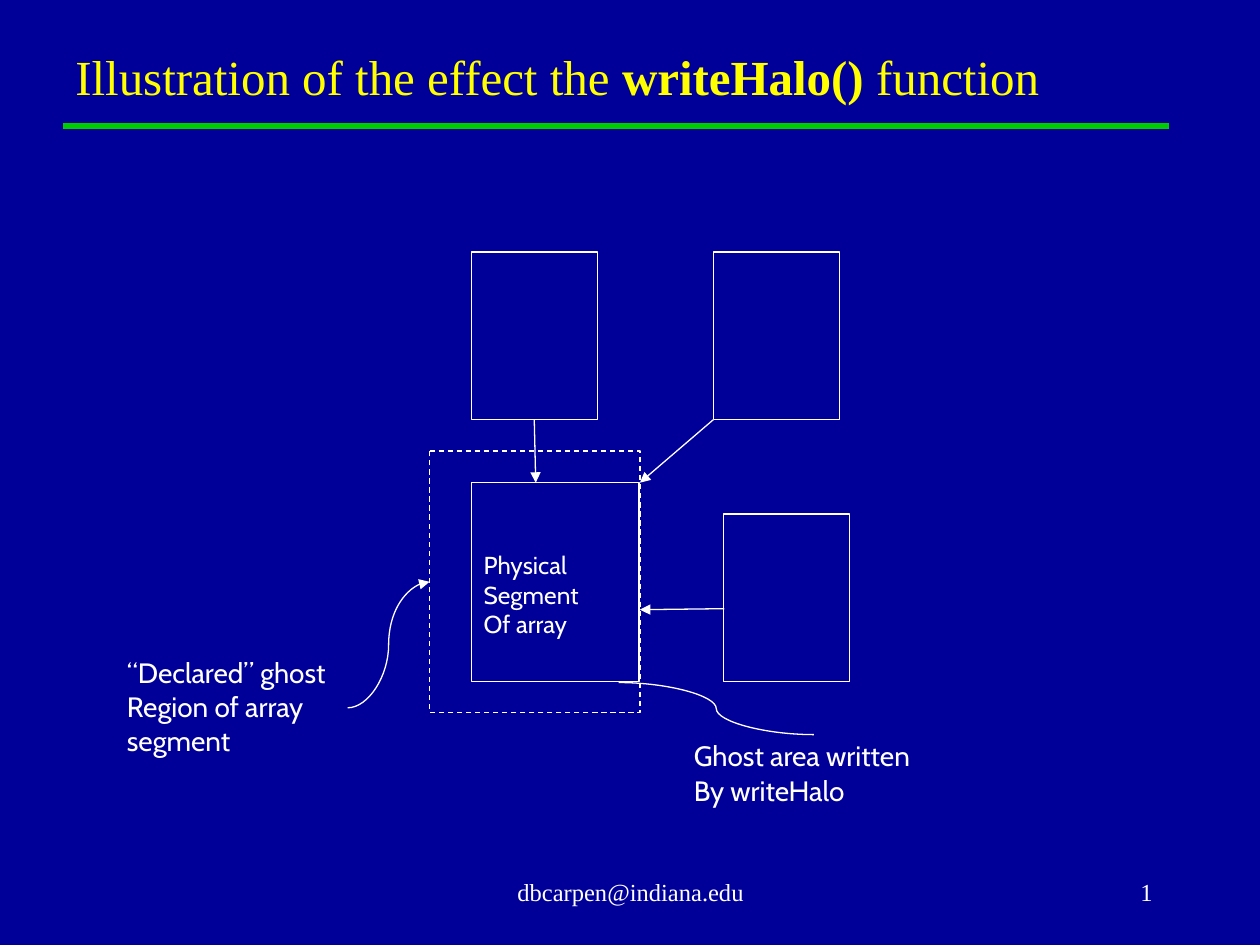
from lxml import etree
from pptx import Presentation, util as u
from pptx.dml import color
from pptx.enum import dml, shapes, text
from pptx.oxml import ns

WHITE, YELLOW, GREEN, NAVY = "FFFFFF", "FFFF00", "00CC00", "000099"
SERIF, SANS = "Times New Roman", "Cabin"


def rgb(value):
    return color.RGBColor.from_string(value)


def write(paragraph, content, size=14, font=SERIF, fill=WHITE, bold=False):
    run = paragraph.add_run()
    run.text = content
    run.font.size = u.Pt(size)
    run.font.name = font
    run.font.bold = bold
    run.font.color.rgb = rgb(fill)


class Canvas:
    """Current slide plus the shared outline style."""

    def __init__(self, slide, line_color=WHITE, line_width=0.75):
        self.slide = slide
        self.line_color = line_color
        self.line_width = line_width

    def background(self, fill):
        self.slide.background.fill.solid()
        self.slide.background.fill.fore_color.rgb = rgb(fill)

    def box(self, left, top, width, height, dashed=False):
        shape = self.slide.shapes.add_shape(
            shapes.MSO_SHAPE.ROUNDED_RECTANGLE,
            u.Cm(left), u.Cm(top), u.Cm(width), u.Cm(height))
        shape.adjustments[0] = 0
        shape.shadow.inherit = False
        shape.fill.background()
        shape.line.color.rgb = rgb(self.line_color)
        shape.line.width = u.Pt(self.line_width)
        if dashed:
            shape.line.dash_style = dml.MSO_LINE.DASH
        return shape

    def connector(self, start, end, curved=False, arrow=True,
                  line_color=None, width=None):
        kind = shapes.MSO_CONNECTOR.CURVE if curved else shapes.MSO_CONNECTOR.STRAIGHT
        connector = self.slide.shapes.add_connector(
            kind, *(u.Cm(value) for value in (*start, *end)))
        connector.line.color.rgb = rgb(line_color or self.line_color)
        connector.line.width = u.Pt(width or self.line_width)
        if arrow:
            etree.SubElement(connector.line._get_or_add_ln(),
                             ns.qn("a:tailEnd"), type="triangle")
        etree.SubElement(connector._element.spPr, ns.qn("a:effectLst"))
        return connector

    def text_box(self, left, top, width, height, lines, anchor=text.MSO_ANCHOR.TOP,
                 align=text.PP_ALIGN.LEFT, wrap=False, first_spacing=None, **style):
        """Each line is a list of (content, bold) runs or a plain string."""
        frame = self.slide.shapes.add_textbox(
            u.Cm(left), u.Cm(top), u.Cm(width), u.Cm(height)).text_frame
        frame.word_wrap = wrap
        frame.vertical_anchor = anchor
        for index, line in enumerate(lines):
            paragraph = frame.add_paragraph() if index else frame.paragraphs[0]
            paragraph.alignment = align
            if first_spacing and index == 0:
                paragraph.line_spacing = first_spacing
            for content, bold in [(line, False)] if isinstance(line, str) else line:
                write(paragraph, content, bold=bold, **style)

    def label(self, left, top, width, height, lines, size=16):
        self.text_box(left, top, width, height, lines, first_spacing=0.96,
                      size=size, font=SANS)


def main():
    presentation = Presentation()
    presentation.slide_width, presentation.slide_height = u.Cm(25.4), u.Cm(19.05)
    canvas = Canvas(presentation.slides.add_slide(presentation.slide_layouts[6]))
    canvas.background(NAVY)

    # Footer and slide number
    middle = text.MSO_ANCHOR.MIDDLE
    canvas.text_box(8.69, 17.35, 8.05, 1.27, ["dbcarpen@indiana.edu"],
                    anchor=middle, align=text.PP_ALIGN.CENTER)
    canvas.text_box(18.21, 17.35, 5.28, 1.27, ["1"],
                    anchor=middle, align=text.PP_ALIGN.RIGHT)

    # Title and rule
    canvas.connector((1.27, 2.54), (23.57, 2.54), arrow=False,
                     line_color=GREEN, width=4)
    canvas.text_box(1.27, 0, 21.59, 2.24,
                    [[("Illustration of the effect the ", False),
                      ("writeHalo()", True), (" function", False)]],
                    anchor=text.MSO_ANCHOR.BOTTOM, wrap=True, size=28, fill=YELLOW)

    # Neighbouring segments, the physical segment and its ghost region
    above, _, _ = [canvas.box(left, top, 2.54, 3.38) for left, top in
                   ((9.5, 5.08), (14.38, 5.08), (14.58, 10.36))]
    canvas.box(9.5, 9.73, 3.38, 4.01)
    ghost = canvas.box(8.66, 9.09, 4.24, 5.28, dashed=True)

    # Data flowing in from the neighbours
    canvas.connector((10.77, 8.46), (10.8, 9.73)).begin_connect(above, 2)
    canvas.connector((14.6, 12.27), (12.9, 12.29))
    canvas.connector((14.38, 8.46), (12.9, 9.73))

    # Labels and their curved leaders
    canvas.label(2.31, 13.13, 4.7, 2.29,
                 ["“Declared” ghost", "Region of array", "segment"])
    canvas.label(9.5, 11, 2.46, 2.03, ["Physical", "Segment", "Of array"], size=14)
    canvas.label(13.74, 14.81, 5.31, 1.63, ["Ghost area written", "By writeHalo"])
    canvas.connector((12.47, 13.76), (16.41, 14.81), curved=True, arrow=False)
    canvas.connector((7.01, 14.27), (8.66, 11.73), curved=True).end_connect(ghost, 1)

    presentation.save("out.pptx")


if __name__ == "__main__":
    main()
